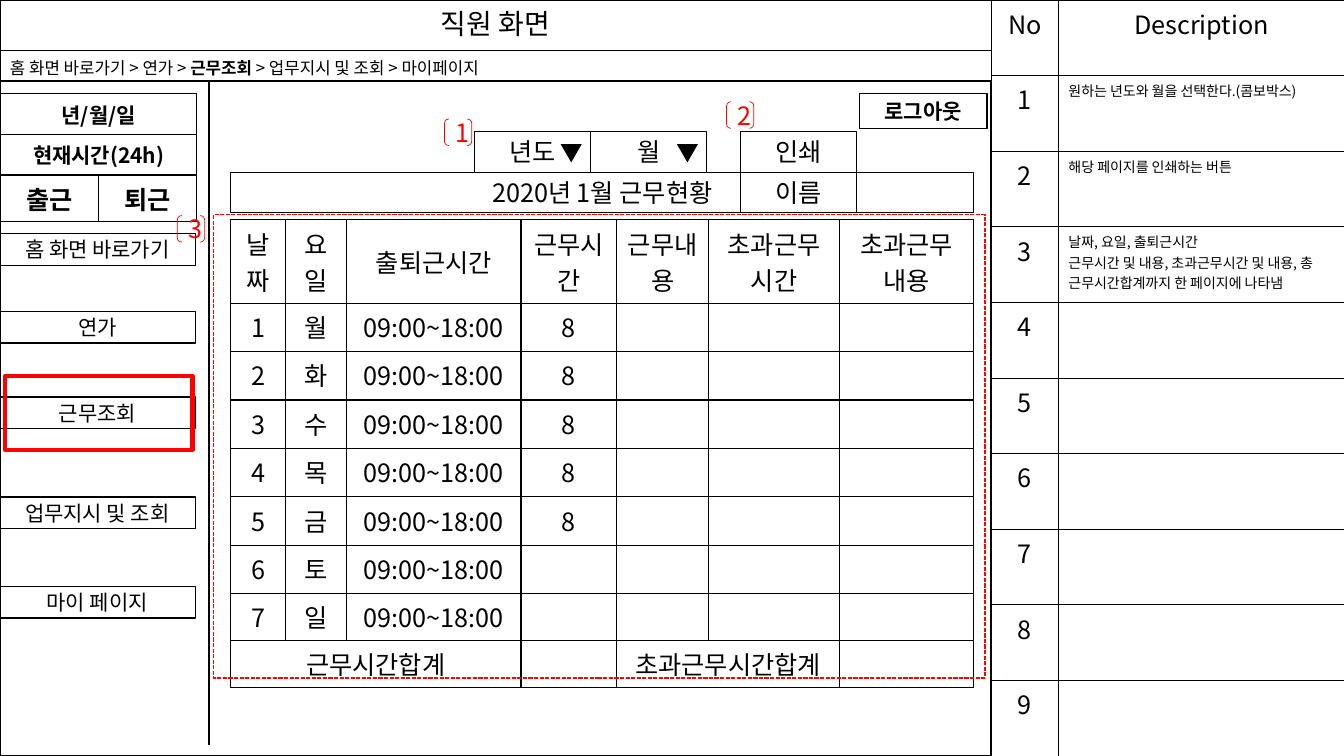
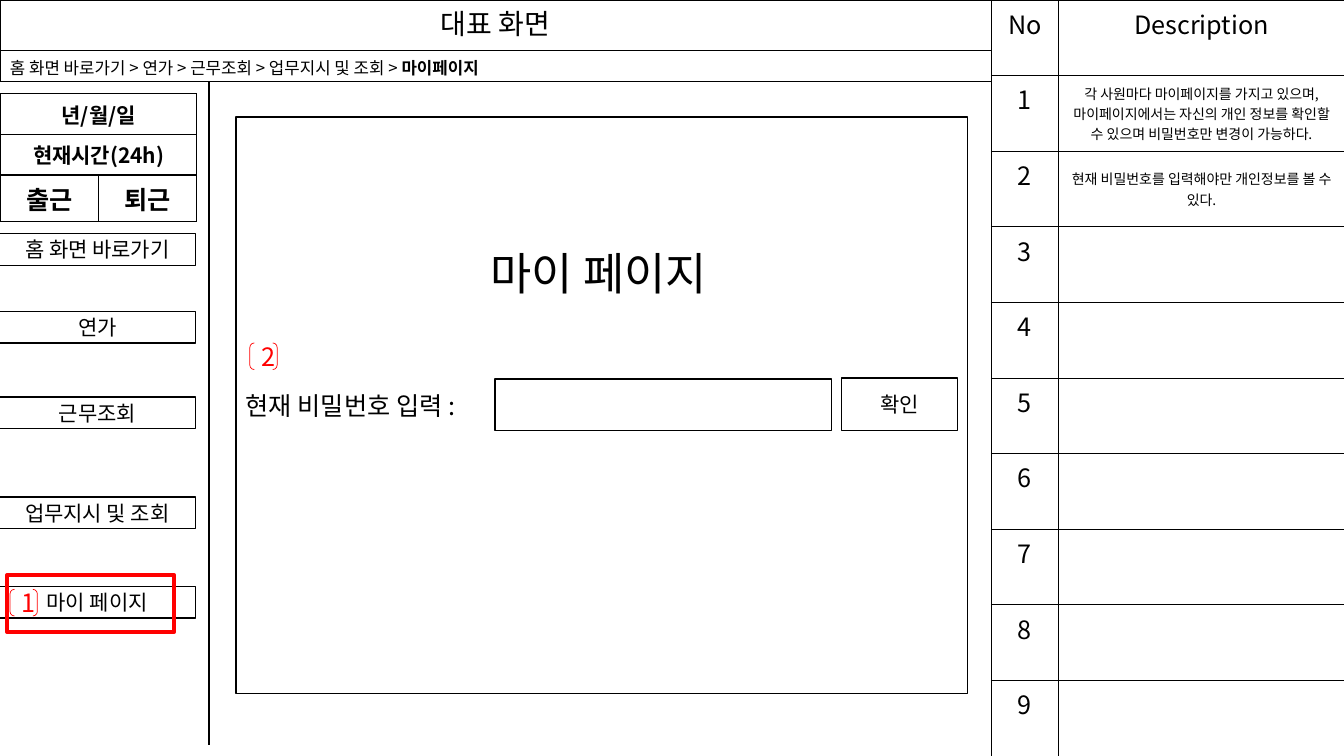
"""Build two wireframe slides of a staff attendance system."""
from dataclasses import dataclass
from typing import NamedTuple

from lxml import etree
from pptx import Presentation
from pptx.dml.color import RGBColor
from pptx.enum.dml import MSO_LINE
from pptx.enum.shapes import MSO_CONNECTOR, MSO_SHAPE
from pptx.enum.text import MSO_ANCHOR, PP_ALIGN
from pptx.oxml.ns import qn
from pptx.util import Pt

RECT = MSO_SHAPE.RECTANGLE
PAIR = MSO_SHAPE.DOUBLE_BRACKET
WEDGE = MSO_SHAPE.ISOSCELES_TRIANGLE
LINE = MSO_CONNECTOR.STRAIGHT
DASH = MSO_LINE.SQUARE_DOT
LEFT, MID = PP_ALIGN.LEFT, PP_ALIGN.CENTER
TOP, CORE = MSO_ANCHOR.TOP, MSO_ANCHOR.MIDDLE

FONT = "Noto Sans CJK KR"
HUE = {"ink": "000000", "paper": "FFFFFF", "red": "FF0000"}
WIDE = 708
MENU = {"홈 화면 바로가기": 167, "연가": 222.5, "근무조회": 283.7,
        "업무지시 및 조회": 355, "마이 페이지": 419}
TRAIL = ["홈 화면 바로가기", "연가", "근무조회", "업무지시 및 조회", "마이페이지"]


class Note(NamedTuple):
    text: str = ""
    size: float = 18
    bold: bool = False
    align: PP_ALIGN = MID
    anchor: MSO_ANCHOR = TOP


@dataclass
class Box:
    x: float
    y: float
    w: float
    h: float
    text: str = ""
    size: float = 18
    bold: bool = False
    align: PP_ALIGN = MID
    fill: str = ""
    line: str = "ink"
    thick: float = 1
    ink: str = "ink"
    kind: MSO_SHAPE = RECT
    dash: bool = False
    turn: float = 0


@dataclass
class Grid:
    x: float
    y: float
    cols: list[float]
    rows: list[float]
    cells: list[list[Note]]
    thick: float
    spans: tuple = ()


def tint(name: str) -> RGBColor:
    """Return a named colour."""
    return RGBColor.from_string(HUE[name])


def style(frame, size: float, bold: bool = False, align: PP_ALIGN = MID, ink: str = "ink") -> None:
    """Format every run of a text frame."""
    for para in frame.paragraphs:
        para.alignment = align
        for run in para.runs:
            font = run.font
            font.size, font.bold, font.name = Pt(size), bold, FONT
            font.color.rgb = tint(ink)
            east = etree.SubElement(run._r.get_or_add_rPr(), qn("a:ea"))
            east.set("typeface", FONT)


def edge(line, name: str, thick: float) -> None:
    """Set the colour and width of a line."""
    line.color.rgb = tint(name)
    line.width = Pt(thick)


def draw(slide, box: Box) -> None:
    """Draw one box with its text."""
    shape = slide.shapes.add_shape(box.kind, Pt(box.x), Pt(box.y), Pt(box.w), Pt(box.h))
    shape.shadow.inherit = False
    shape.rotation = box.turn
    if box.fill:
        shape.fill.solid()
        shape.fill.fore_color.rgb = tint(box.fill)
    else:
        shape.fill.background()
    if box.line:
        edge(shape.line, box.line, box.thick)
    else:
        shape.line.fill.background()
    if box.dash:
        shape.line.dash_style = DASH
    if box.text:
        frame = shape.text_frame
        frame.text = box.text
        frame.vertical_anchor = CORE
        style(frame, box.size, box.bold, box.align, box.ink)


def frame_cell(cell, thick: float) -> None:
    """Give a cell four black borders and no fill."""
    props = cell._tc.get_or_add_tcPr()
    for side in ("lnL", "lnR", "lnT", "lnB"):
        line = etree.SubElement(props, qn(f"a:{side}"), w=str(Pt(thick)))
        fill = etree.SubElement(line, qn("a:solidFill"))
        etree.SubElement(fill, qn("a:srgbClr"), val=HUE["ink"])
    cell.fill.background()


def draw_grid(slide, grid: Grid) -> None:
    """Draw a table with its borders, spans and text."""
    table = slide.shapes.add_table(
        len(grid.rows), len(grid.cols), Pt(grid.x), Pt(grid.y),
        Pt(sum(grid.cols)), Pt(sum(grid.rows))).table
    table.first_row = table.horz_banding = False
    for col, wide in zip(table.columns, grid.cols):
        col.width = Pt(wide)
    for row, tall in zip(table.rows, grid.rows):
        row.height = Pt(tall)
    for r, notes in enumerate(grid.cells):
        for c, note in enumerate(notes):
            cell = table.cell(r, c)
            frame_cell(cell, grid.thick)
            if note.text:
                cell.text_frame.text = note.text
                cell.vertical_anchor = note.anchor
                style(cell.text_frame, note.size, note.bold, note.align)
    for r, first, last in grid.spans:
        table.cell(r, first).merge(table.cell(r, last))


def mark(slide, x: float, y: float, text: str) -> None:
    """Draw a red number in brackets."""
    draw(slide, Box(x, y, 19.5, 19, text, line="red", thick=0.5, ink="red", kind=PAIR))


def head(slide, text: str) -> None:
    """Place the title and the bar below it."""
    title = slide.shapes.title
    title.left, title.top, title.width, title.height = Pt(0), Pt(0), Pt(WIDE), Pt(36)
    edge(title.line, "ink", 0.75)
    frame = title.text_frame
    frame.text = text
    frame.vertical_anchor = CORE
    frame.paragraphs[0].line_spacing = 0.9
    style(frame, 20)
    draw(slide, Box(0, 36, WIDE, 22, thick=0.75))


def trail(slide, here: str) -> None:
    """Write the breadcrumb with the current page in bold."""
    frame = slide.shapes.add_textbox(Pt(0), Pt(37.5), Pt(442), Pt(22)).text_frame
    frame.word_wrap = True
    para = frame.paragraphs[0]
    before, after = " > ".join(TRAIL).split(here)
    for part in (before, here, after):
        if part:
            para.add_run().text = part
    style(frame, 12, align=LEFT)
    for run in para.runs:
        run.font.bold = run.text == here


def legend(slide, notes: list[Note]) -> None:
    """Draw the description table on the right."""
    notes = notes + [Note()] * (9 - len(notes))
    cells = [[Note("No"), Note("Description")]]
    cells += [[Note(str(i)), note] for i, note in enumerate(notes, 1)]
    draw_grid(slide, Grid(WIDE, 0, [48, 204.5], [54] * 10, cells, 0.5))


def side(slide) -> None:
    """Draw the clock, the menu and the divider."""
    cells = [[Note("년/월/일", 15, True), Note()],
             [Note("현재시간(24h)", 15, True), Note()],
             [Note("출근", 18, True), Note("퇴근", 18, True)]]
    draw_grid(slide, Grid(0.5, 67, [70, 70], [28.8, 29, 33], cells, 1,
                          ((0, 0, 1), (1, 0, 1))))
    for text, top in MENU.items():
        draw(slide, Box(-0.7, top, 140.5, 22.5, text, 15, fill="paper"))
    rule = slide.shapes.add_connector(LINE, Pt(149.5), Pt(58), Pt(149.5), Pt(532))
    edge(rule.line, "ink", 1.5)
    etree.SubElement(rule._element.spPr, qn("a:effectLst"))


def page(deck, title: str, here: str, notes: list[Note]):
    """Add a slide with all the shared parts."""
    slide = deck.slides.add_slide(deck.slide_layouts[5])
    head(slide, title)
    legend(slide, notes)
    side(slide)
    trail(slide, here)
    return slide


def hours(slide) -> None:
    """Draw the weekly table of working hours."""
    names = ["날짜", "요일", "출퇴근시간", "근무시간", "근무내용", "초과근무시간", "초과근무내용"]
    cells = [[Note(name, anchor=CORE if name == "출퇴근시간" else TOP) for name in names]]
    for i, day in enumerate("월화수목금토일", 1):
        row = [str(i), day, "09:00~18:00", "8" if i < 6 else "", "", "", ""]
        cells.append([Note(text) for text in row])
    total = ["근무시간합계", "", "", "", "초과근무시간합계", "", ""]
    cells.append([Note(text) for text in total])
    draw_grid(slide, Grid(164.7, 157, [39.5, 43.5, 124.5, 68.5, 65.5, 93.5, 96],
                          [59.5] + [34.6] * 6 + [33.4] * 2, cells, 1,
                          ((8, 0, 2), (8, 4, 5))))


def staff(deck) -> None:
    """Build the attendance slide."""
    texts = ["원하는 년도와 월을 선택한다.(콤보박스)", "해당 페이지를 인쇄하는 버튼",
             "날짜, 요일, 출퇴근시간\n근무시간 및 내용, 초과근무시간 및 내용, 총 근무시간합계까지 한 페이지에 나타냄"]
    slide = page(deck, "직원 화면", "근무조회", [Note(text, 10, align=LEFT) for text in texts])
    draw(slide, Box(0, 58, WIDE, 482))
    hours(slide)
    draw(slide, Box(164.7, 123, 531, 29, "2020년 1월 근무현황", thick=0.75))
    for x, y, text in ((529, 94, "인쇄"), (529, 123, "이름"), (339, 94, "년도"), (422, 94, "월")):
        draw(slide, Box(x, y, 83, 29, text, thick=0.75))
    for x in (400.5, 483.5):
        draw(slide, Box(x, 103, 15, 13, fill="ink", line="", kind=WEDGE, turn=180))
    draw(slide, Box(614, 67, 91, 25, "로그아웃", 15, True, fill="paper"))
    draw(slide, Box(152.6, 153.4, 551, 331, line="red", dash=True))
    for x, y, text in ((317.5, 85, "1"), (519, 72.7, "2"), (126.7, 154, "3")):
        mark(slide, x, y, text)
    draw(slide, Box(3.6, 268.6, 134, 52.6, line="red", thick=3))


def owner(deck) -> None:
    """Build the personal page slide."""
    texts = ["각 사원마다 마이페이지를 가지고 있으며, 마이페이지에서는 자신의 개인 정보를 확인할 수 있으며 비밀번호만 변경이 가능하다.",
             "현재 비밀번호를 입력해야만 개인정보를 볼 수 있다."]
    slide = page(deck, "대표 화면", "마이페이지", [Note(text, 10, anchor=CORE) for text in texts])
    for box in (Box(168.5, 83.5, 522.7, 412, "현재 비밀번호 입력 :", align=LEFT, fill="paper"),
                Box(353.5, 270.7, 240.5, 36.7, fill="paper"),
                Box(601, 270, 83, 37.4, "확인", 15, fill="paper"),
                Box(261.4, 155.5, 332.6, 77.8, "마이 페이지", 32, fill="paper", line="")):
        draw(slide, box)
    mark(slide, 7.2, 421, "1")
    mark(slide, 178.5, 245, "2")
    draw(slide, Box(5, 411, 119.5, 40.3, line="red", thick=3))


def main() -> None:
    """Build and save the deck."""
    deck = Presentation()
    deck.slide_width, deck.slide_height = Pt(960), Pt(540)
    staff(deck)
    owner(deck)
    deck.save("out.pptx")


if __name__ == "__main__":
    main()
